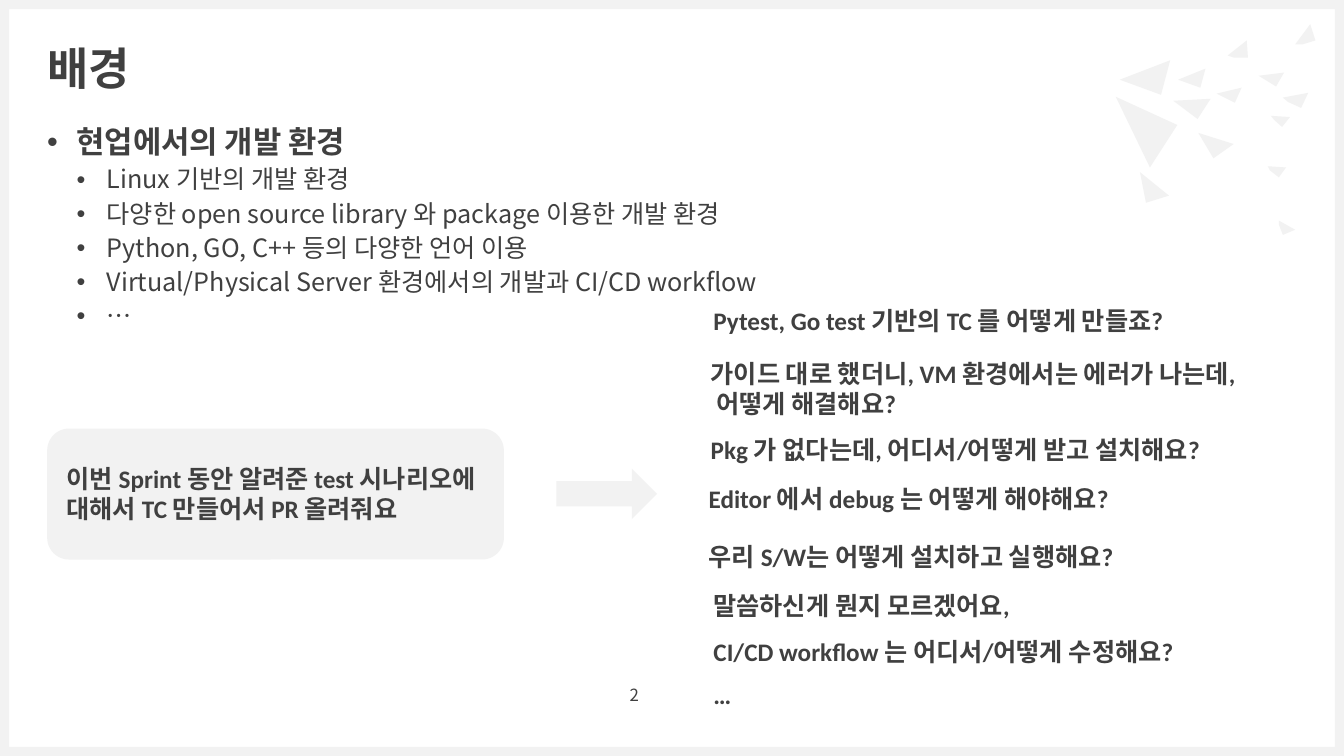
"""Build the development background slide."""
from lxml.etree import SubElement
from pptx import Presentation
from pptx.dml.color import RGBColor
from pptx.enum.shapes import MSO_SHAPE
from pptx.enum.text import MSO_ANCHOR, PP_ALIGN
from pptx.oxml.ns import qn
from pptx.util import Cm, Pt

INK = RGBColor(0x40, 0x40, 0x40)
PALE = RGBColor(0xF2, 0xF2, 0xF2)
WHITE = RGBColor(0xFF, 0xFF, 0xFF)
KOREAN_FONT = "Noto Sans CJK KR"
LATIN_FONT = "Calibri"
WIDTH, HEIGHT, BORDER = 33.87, 19.05, 0.23

TITLE = "배경"
TOPIC = "현업에서의 개발 환경"
DETAILS = [
    "Linux 기반의 개발 환경",
    "다양한 open source library 와 package 이용한 개발 환경",
    "Python, GO, C++ 등의 다양한 언어 이용",
    "Virtual/Physical Server 환경에서의 개발과 CI/CD workflow",
    "…",
]
REQUEST = "이번 Sprint 동안 알려준 test 시나리오에 대해서 TC 만들어서 PR 올려줘요"
QUESTIONS = [
    (17.98, 7.7, 12.12, "Pytest, Go test 기반의 TC 를 어떻게 만들죠?"),
    (17.91, 9.02, 13.11, "가이드 대로 했더니, VM 환경에서는 에러가 나는데, 어떻게 해결해요?"),
    (17.91, 10.95, 15.52, "Pkg 가 없다는데, 어디서/어떻게 받고 설치해요?"),
    (17.86, 12.17, 15.52, "Editor 에서 debug 는 어떻게 해야해요?"),
    (17.86, 13.64, 15.52, "우리 S/W는 어떻게 설치하고 실행해요?"),
    (17.98, 14.88, 15.52, "말씀하신게 뭔지 모르겠어요,"),
    (17.98, 16.03, 15.52, "CI/CD workflow 는 어디서/어떻게 수정해요?"),
    (17.98, 17.12, 12.12, "…"),
]
SHARDS = [
    [(29.49, 1.52), (29.26, 2.39), (28.22, 2.01)],
    [(30.51, 2.49), (30.18, 3.0), (29.57, 2.54)],
    [(30.38, 1.73), (30.25, 2.21), (29.69, 2.01)],
    [(31.29, 2.21), (31.12, 2.59), (30.66, 2.36)],
    [(31.42, 1.02), (31.45, 1.45), (31.09, 1.45), (30.94, 1.4)],
    [(32.51, 2.95), (32.31, 3.2), (32.11, 3.02), (32.03, 2.92)],
    [(33.02, 0.61), (33.15, 1.02), (32.82, 1.12), (32.64, 1.12)],
    [(32.36, 1.83), (32.16, 2.18), (31.72, 1.91)],
    [(32.97, 2.34), (32.79, 2.72), (32.46, 2.57), (32.33, 2.46)],
    [(29.67, 3.15), (28.98, 4.22), (28.12, 2.44)],
    [(31.09, 3.63), (30.58, 3.99), (30.2, 3.35)],
    [(32.41, 4.22), (32.23, 4.47), (32.0, 4.29), (31.95, 4.19)],
    [(29.46, 4.93), (28.88, 5.11), (28.73, 4.34)],
    [(32.64, 5.79), (32.33, 5.92), (32.23, 5.66), (32.23, 5.56)],
]


def paint(shape):
    shape.shadow.inherit = False
    shape.fill.solid()
    shape.fill.fore_color.rgb = PALE
    shape.line.fill.background()


def add_block(slide, kind, left, top, width, height):
    shape = slide.shapes.add_shape(kind, Cm(left), Cm(top), Cm(width), Cm(height))
    paint(shape)


def add_shard(slide, points):
    corners = [(Cm(x), Cm(y)) for x, y in points]
    builder = slide.shapes.build_freeform(*corners[0], scale=1.0)
    builder.add_line_segments(corners[1:], close=True)
    paint(builder.convert_to_shape())


def add_frame(slide, left, top, width, height, anchor=MSO_ANCHOR.TOP):
    box = slide.shapes.add_textbox(Cm(left), Cm(top), Cm(width), Cm(height))
    frame = box.text_frame
    frame.word_wrap = True
    frame.vertical_anchor = anchor
    frame.margin_left = frame.margin_right = 0
    frame.margin_top = frame.margin_bottom = 0
    return frame


def write(frame, text, size=18, font=LATIN_FONT, bold=True, align=PP_ALIGN.LEFT,
          spacing=1.0, before=0, indent=None, level=0):
    first = frame.paragraphs[0]
    paragraph = frame.add_paragraph() if first.runs else first
    paragraph.alignment = align
    paragraph.line_spacing = spacing
    paragraph.space_before = Pt(before)
    paragraph.level = level
    if indent:
        margin, hang = indent
        properties = paragraph._p.get_or_add_pPr()
        properties.set("marL", str(Cm(margin)))
        properties.set("indent", str(-Cm(hang)))
        SubElement(properties, qn("a:buFont"), typeface="Arial")
        SubElement(properties, qn("a:buChar"), char="•")
    run = paragraph.add_run()
    run.text = text
    run.font.size = Pt(size)
    run.font.name = font
    run.font.bold = bold
    run.font.color.rgb = INK
    SubElement(run._r.get_or_add_rPr(), qn("a:ea"), typeface=KOREAN_FONT)


def main():
    presentation = Presentation()
    presentation.slide_width, presentation.slide_height = Cm(WIDTH), Cm(HEIGHT)
    slide = presentation.slides.add_slide(presentation.slide_layouts[6])
    slide.background.fill.solid()
    slide.background.fill.fore_color.rgb = WHITE

    for top in (HEIGHT - BORDER, 0):
        add_block(slide, MSO_SHAPE.RECTANGLE, 0, top, WIDTH, BORDER)
    for left in (0, WIDTH - BORDER):
        add_block(slide, MSO_SHAPE.RECTANGLE, left, 0, BORDER, HEIGHT)
    for points in SHARDS:
        add_shard(slide, points)

    body = add_frame(slide, 1.19, 3.2, 31.5, 13.0)
    write(body, TOPIC, size=22, font=KOREAN_FONT, spacing=0.9, before=10,
          indent=(0.74, 0.74))
    for detail in DETAILS:
        write(body, detail, font=KOREAN_FONT, bold=False, spacing=0.9, before=5,
              indent=(1.5, 0.76), level=1)

    title = add_frame(slide, 1.19, 1.19, 31.5, 1.19, anchor=MSO_ANCHOR.MIDDLE)
    write(title, TITLE, size=32, font=KOREAN_FONT, spacing=0.9)
    number = add_frame(slide, 15.34, 16.92, 0.76, 1.19, anchor=MSO_ANCHOR.MIDDLE)
    write(number, "2", size=12, font=KOREAN_FONT, bold=False, align=PP_ALIGN.RIGHT)

    add_block(slide, MSO_SHAPE.ROUNDED_RECTANGLE, 1.19, 10.8, 11.51, 3.3)
    write(add_frame(slide, 1.68, 11.68, 10.82, 1.3), REQUEST)
    add_block(slide, MSO_SHAPE.RIGHT_ARROW, 14.02, 11.81, 2.54, 1.27)
    for left, top, width, question in QUESTIONS:
        write(add_frame(slide, left, top, width, 1.3), question)

    presentation.save("out.pptx")


if __name__ == "__main__":
    main()
